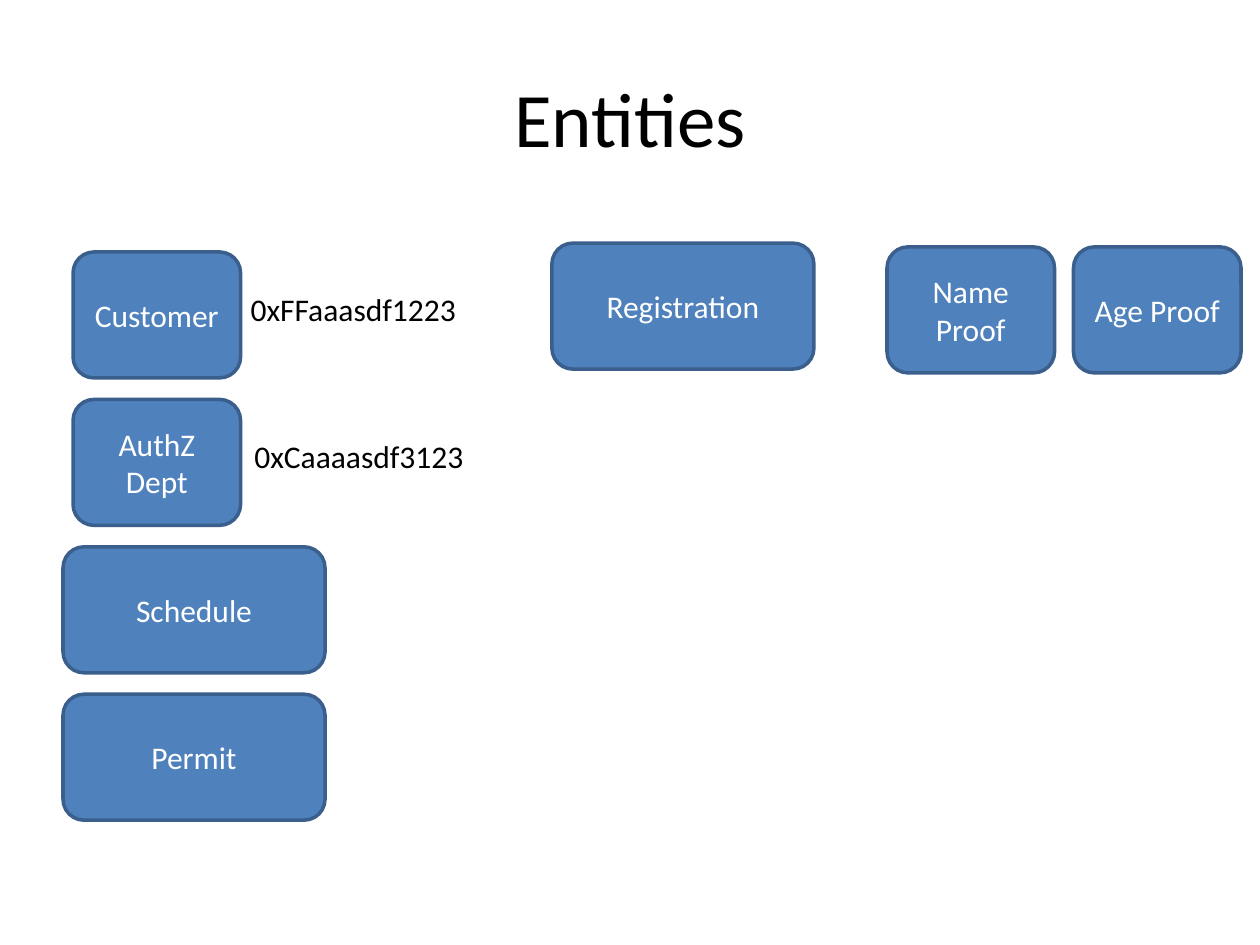
from pptx import Presentation
from pptx.dml.color import RGBColor
from pptx.enum.shapes import MSO_SHAPE
from pptx.enum.text import MSO_ANCHOR, MSO_AUTO_SIZE, PP_ALIGN
from pptx.util import Inches, Pt

COLORS = {"fill": "4F81BD", "line": "3A5F8C", "light": "FFFFFF", "dark": "000000"}
NARROW, WIDE, HEIGHT = 1.33, 2.08, 1
ROW_STEP = 1.17


def color(name):
    return RGBColor.from_string(COLORS[name])


def write(tf, text, size, name, align):
    frame_format = {"word_wrap": True, "vertical_anchor": MSO_ANCHOR.MIDDLE}
    for key, value in frame_format.items():
        setattr(tf, key, value)
    p = tf.paragraphs[0]
    p.alignment = align
    r = p.add_run()
    r.text = text
    for key, value in {"name": "Calibri", "size": Pt(size)}.items():
        setattr(r.font, key, value)
    r.font.color.rgb = color(name)


def add_title(s, text, left, top, width, height):
    sp = s.shapes.title
    box = {"left": left, "top": top, "width": width, "height": height}
    for key, value in box.items():
        setattr(sp, key, Inches(value))
    write(sp.text_frame, text, 44, "dark", PP_ALIGN.CENTER)


def add_entity(s, text, left, top, width):
    sp = s.shapes.add_shape(MSO_SHAPE.ROUNDED_RECTANGLE, Inches(left), Inches(top),
                            Inches(width), Inches(HEIGHT))
    sp.shadow.inherit = False
    sp.fill.solid()
    sp.fill.fore_color.rgb = color("fill")
    sp.line.color.rgb = color("line")
    sp.line.width = Pt(2)
    write(sp.text_frame, text, 18, "light", PP_ALIGN.CENTER)


def add_address(s, text, left, top):
    sp = s.shapes.add_textbox(Inches(left), Inches(top), Inches(2.92), Inches(0.42))
    tf = sp.text_frame
    write(tf, text, 18, "dark", PP_ALIGN.LEFT)
    tf.vertical_anchor = MSO_ANCHOR.TOP
    tf.auto_size = MSO_AUTO_SIZE.SHAPE_TO_FIT_TEXT


def add_entity_column(s, top):
    rows = [
        ("Customer", 0.58, NARROW, "0xFFaaasdf1223", 1.89),
        ("AuthZ Dept", 0.58, NARROW, "0xCaaaasdf3123", 1.92),
        ("Schedule", 0.5, WIDE, None, None),
        ("Permit", 0.5, WIDE, None, None),
    ]
    for i, (text, left, width, address, address_left) in enumerate(rows):
        row_top = top + i * ROW_STEP
        add_entity(s, text, left, row_top, width)
        if address:
            add_address(s, address, address_left, row_top + 0.25)


def add_proofs(s, left, top):
    for i, text in enumerate(["Name Proof", "Age Proof"]):
        add_entity(s, text, left + i * 1.48, top, NARROW)


def main():
    prs = Presentation()
    prs.slide_width, prs.slide_height = Inches(10), Inches(7.5)
    s = prs.slides.add_slide(prs.slide_layouts[5])
    add_title(s, "Entities", 0.5, 0.3, 9, 1.25)
    add_entity_column(s, 2)
    add_entity(s, "Registration", 4.38, 1.93, WIDE)
    add_proofs(s, 7.04, 1.96)
    prs.save("out.pptx")


if __name__ == "__main__":
    main()
